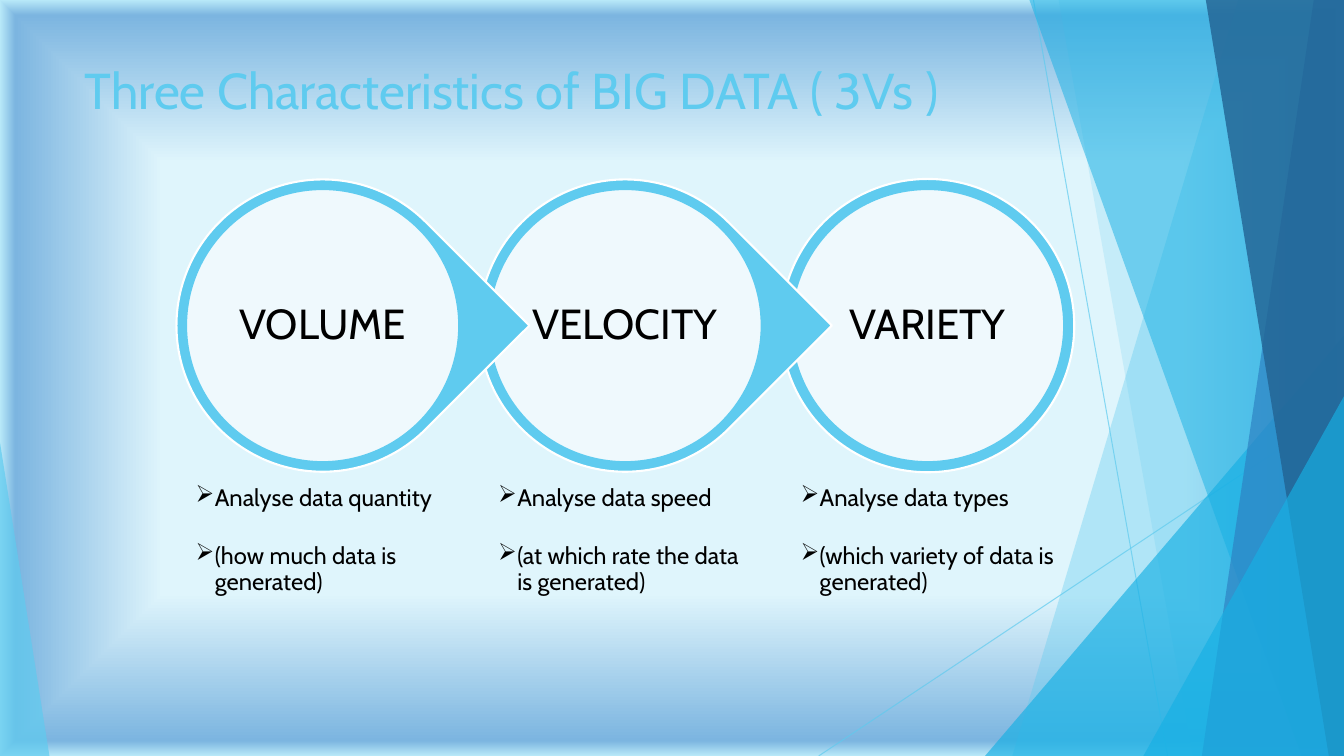
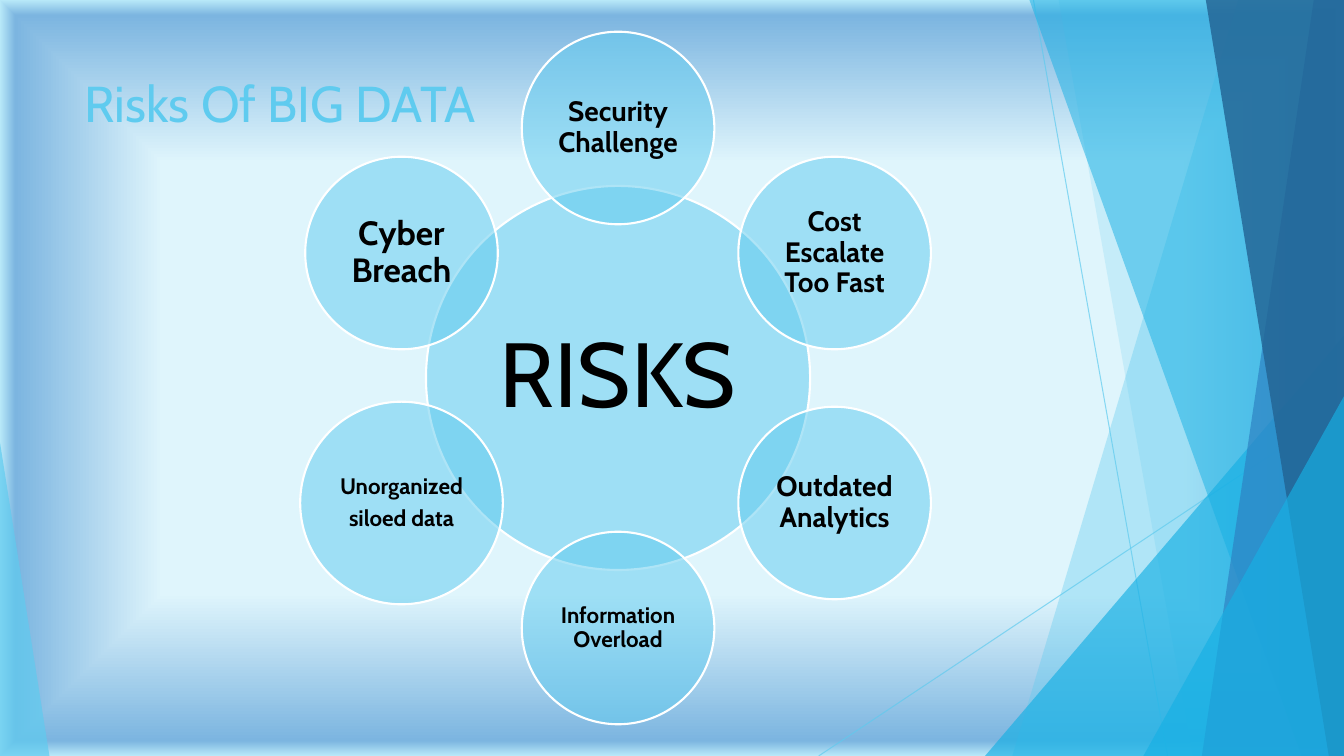
from math import cos, pi, sin

from lxml import etree
from pptx import Presentation
from pptx.dml.color import RGBColor
from pptx.enum.shapes import MSO_CONNECTOR, MSO_SHAPE
from pptx.enum.text import MSO_ANCHOR, MSO_AUTO_SIZE, PP_ALIGN
from pptx.oxml import parse_xml
from pptx.oxml.ns import nsdecls, qn
from pptx.util import Inches, Pt

ELLIPSE = MSO_SHAPE.OVAL
TEARDROP = MSO_SHAPE.TEAR
TRIANGLE = MSO_SHAPE.ISOSCELES_TRIANGLE
STRAIGHT = MSO_CONNECTOR.STRAIGHT
TOP, MIDDLE = MSO_ANCHOR.TOP, MSO_ANCHOR.MIDDLE
LEFT, CENTER = PP_ALIGN.LEFT, PP_ALIGN.CENTER
NO_AUTOFIT = MSO_AUTO_SIZE.NONE

FONT = "Cabin"
WIDTH, HEIGHT = 13.33, 7.5
SKY, CYAN, BLUE, NAVY = "5FCBEF", "17B0E4", "2E83C3", "226292"
WHITE, BLACK = "FFFFFF", "000000"
TITLE_ONLY = 5

BACKGROUND = f"""
<p:bg {nsdecls("p", "a")}><p:bgPr><a:gradFill rotWithShape="1"><a:gsLst>
<a:gs pos="57000"><a:srgbClr val="DFF5FC"><a:alpha val="75000"/></a:srgbClr></a:gs>
<a:gs pos="96000"><a:srgbClr val="7CB5E0"/></a:gs>
<a:gs pos="100000"><a:srgbClr val="B7E8F8"/></a:gs>
</a:gsLst><a:path path="shape">
<a:fillToRect l="50000" t="50000" r="50000" b="50000"/>
</a:path></a:gradFill><a:effectLst/></p:bgPr></p:bg>"""

RAYS = [(10.25, 0, 11.58, HEIGHT), (WIDTH, 4.03, 8.12, HEIGHT)]
BACK_BANDS = [(12.28, 10.04, SKY, 36), (10.5, 11.83, SKY, 20)]
FRONT_BANDS = [
    (10.21, 12.91, CYAN, 50),
    (13.03, 11.92, BLUE, 70),
    (11.96, 13.18, NAVY, 80),
]

CHARACTERISTICS = [
    ("VOLUME", ["Analyse data quantity", "(how much data is generated)"]),
    ("VELOCITY", ["Analyse data speed", "(at which rate the data is generated)"]),
    ("VARIETY", ["Analyse data types", "(which variety of data is generated)"]),
]

RISKS = [
    (["Security Challenge"], 20, 1.91),
    (["Cost Escalate Too Fast"], 20, 1.91),
    (["Outdated Analytics"], 20, 1.91),
    (["Information Overload"], 16, 1.91),
    (["Unorganized", "siloed data"], 16, 2.01),
    (["Cyber Breach"], 24, 1.91),
]


def color(value):
    return RGBColor.from_string(value)


def fade(shape, opacity):
    first_color = shape.element.spPr.find(".//" + qn("a:srgbClr"))
    etree.SubElement(first_color, qn("a:alpha"), val=str(opacity * 1000))


def paint(shape, fill, opacity=100, line=None):
    shape.shadow.inherit = False
    shape.fill.solid()
    shape.fill.fore_color.rgb = color(fill)
    if opacity < 100:
        fade(shape, opacity)
    if line:
        shape.line.color.rgb = color(line)
        shape.line.width = Pt(1.5)
    else:
        shape.line.fill.background()


def add_bullet(paragraph):
    properties = paragraph._p.get_or_add_pPr()
    properties.set("marL", str(Inches(0.19)))
    properties.set("indent", str(Inches(-0.19)))
    etree.SubElement(properties, qn("a:buChar"), char="➢")


def write(box, lines, size, inset, gap=0, align=CENTER, anchor=MIDDLE,
          bold=False, bullets=False):
    frame = box.text_frame
    frame.word_wrap = True
    frame.vertical_anchor = anchor
    frame.margin_left = frame.margin_right = Inches(inset)
    frame.margin_top = frame.margin_bottom = Inches(inset)
    for index, line in enumerate(lines):
        paragraph = frame.add_paragraph() if index else frame.paragraphs[0]
        paragraph.text = line
        paragraph.alignment = align
        paragraph.line_spacing = 0.9
        if index:
            paragraph.space_before = Pt(gap)
        if bullets:
            add_bullet(paragraph)
        paragraph.font.name = FONT
        paragraph.font.size = Pt(size)
        paragraph.font.bold = bold
        paragraph.font.color.rgb = color(BLACK)


def add_centered(page, kind, x, y, size):
    return page.shapes.add_shape(
        kind, Inches(x - size / 2), Inches(y - size / 2), Inches(size), Inches(size)
    )


def add_ray(shapes, x1, y1, x2, y2):
    ray = shapes.add_connector(STRAIGHT, Inches(x1), Inches(y1), Inches(x2), Inches(y2))
    ray.line.color.rgb = color(SKY)
    ray.line.width = Pt(0.75)
    fade(ray, 70)
    etree.SubElement(ray.element.spPr, qn("a:effectLst"))


def add_band(shapes, top_x, bottom_x, fill, opacity):
    outline = shapes.build_freeform(Inches(top_x), 0)
    corners = [(WIDTH, 0), (WIDTH, HEIGHT), (bottom_x, HEIGHT)]
    outline.add_line_segments([(Inches(x), Inches(y)) for x, y in corners], close=True)
    paint(outline.convert_to_shape(), fill, opacity)


def add_corner(shapes, left, top, width, apex, fill, opacity):
    corner = shapes.add_shape(
        TRIANGLE, Inches(left), Inches(top), Inches(width), Inches(HEIGHT - top)
    )
    corner.adjustments[0] = apex
    paint(corner, fill, opacity)


def decorate_master(master, page):
    content = master.element.cSld
    content.remove(content.find(qn("p:bg")))
    content.insert(0, parse_xml(BACKGROUND))
    group = page.shapes.add_group_shape()
    shapes = group.shapes
    for ray in RAYS:
        add_ray(shapes, *ray)
    for band in BACK_BANDS:
        add_band(shapes, *band)
    add_corner(shapes, 9.77, 3.33, 3.56, 1, CYAN, 66)
    for band in FRONT_BANDS:
        add_band(shapes, *band)
    add_corner(shapes, 11.34, 3.93, 1.99, 1, CYAN, 66)
    add_corner(shapes, 0, 4.39, 0.49, 0, SKY, 70)
    for properties in group.element.iter(qn("p:cNvPr")):
        properties.set("id", str(int(properties.get("id")) + 100))
    master.shapes.element.insert(2, group.element)


def add_page(deck, heading, top):
    page = deck.slides.add_slide(deck.slide_layouts[TITLE_ONLY])
    title = page.shapes.title
    title.left, title.top = Inches(0.74), Inches(top)
    title.width, title.height = Inches(9.4), Inches(1.44)
    frame = title.text_frame
    frame.text = heading
    frame.vertical_anchor = TOP
    frame.auto_size = NO_AUTOFIT
    paragraph = frame.paragraphs[0]
    paragraph.alignment = LEFT
    paragraph.font.name = FONT
    paragraph.font.size = Pt(36)
    paragraph.font.color.rgb = color(SKY)
    return page


def add_characteristic(page, x, y, name, details, is_last):
    if is_last:
        ring = add_centered(page, ELLIPSE, x, y, 2.91)
    else:
        ring = add_centered(page, TEARDROP, x, y, 2.9)
        ring.adjustments[0] = 1
        ring.rotation = 45
    paint(ring, SKY, line=WHITE)
    disc = add_centered(page, ELLIPSE, x, y, 2.71)
    paint(disc, WHITE, 90, SKY)
    write(disc, [name], 30, 0)
    notes = page.shapes.add_textbox(
        Inches(x - 1.35), Inches(y + 1.5), Inches(2.71), Inches(1.59)
    )
    write(notes, details, 17, 0.09, gap=23, align=LEFT, anchor=TOP, bullets=True)


def add_characteristics(page, x, y, step):
    last = len(CHARACTERISTICS) - 1
    for index in range(last, -1, -1):
        name, details = CHARACTERISTICS[index]
        add_characteristic(page, x + index * step, y, name, details, index == last)


def add_risk_wheel(page, x, y, radius):
    hub = add_centered(page, ELLIPSE, x, y, 3.81)
    paint(hub, SKY, 50, WHITE)
    write(hub, ["RISKS"], 65, 0.09)
    for index, (lines, size, diameter) in enumerate(RISKS):
        angle = 2 * pi * index / len(RISKS)
        risk = add_centered(
            page, ELLIPSE, x + radius * sin(angle), y - radius * cos(angle), diameter
        )
        paint(risk, SKY, 50, WHITE)
        write(risk, lines, size, 0.02, gap=5.6, bold=True)


def main():
    deck = Presentation()
    deck.slide_width, deck.slide_height = Inches(WIDTH), Inches(HEIGHT)
    page = add_page(deck, "Three Characteristics of BIG DATA ( 3Vs )", 0.54)
    decorate_master(deck.slide_master, page)
    add_characteristics(page, 3.2, 3.23, 3)
    page = add_page(deck, "Risks Of BIG DATA", 0.67)
    add_risk_wheel(page, 6.13, 3.75, 2.48)
    deck.save("out.pptx")


if __name__ == "__main__":
    main()
